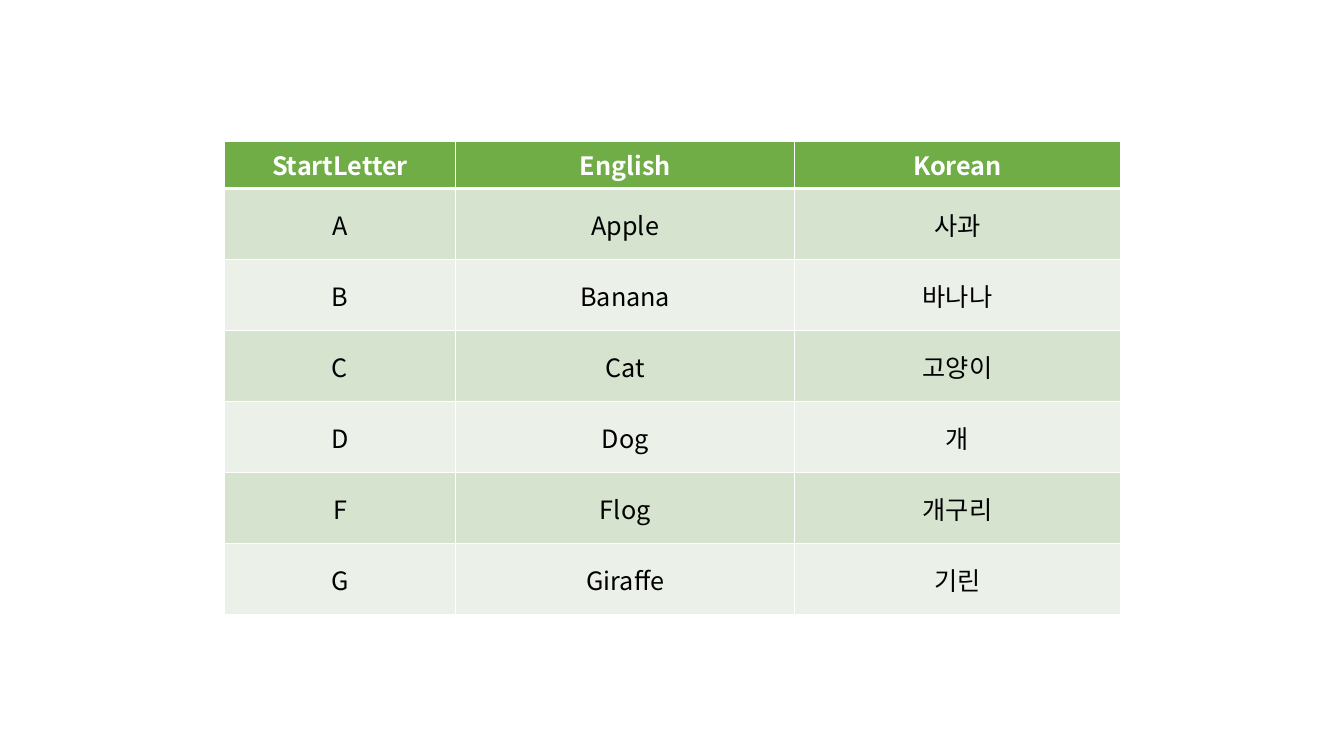
import pptx
import pptx.dml.color
import pptx.enum.text
import pptx.oxml.ns
import pptx.util
from lxml import etree


def colour(value):
    """Turn a hex string into a colour."""
    return pptx.dml.color.RGBColor.from_string(value)


class Page:
    """Hold the style and the current slide."""

    font = "Noto Sans CJK KR"
    size = 18
    header_fill = "70AD47"
    band_fills = ("D5E3CF", "EBF1E9")
    header_text = "FFFFFF"
    body_text = "000000"
    border = "FFFFFF"

    def __init__(self, deck):
        """Add a blank slide to the deck."""
        self.width, self.height = deck.slide_width, deck.slide_height
        self.slide = deck.slides.add_slide(deck.slide_layouts[6])

    def table(self, rows, left, top, column_shares, row_shares):
        """Draw a banded table placed by shares of the slide's size."""
        widths = [round(self.width * share) for share in column_shares]
        heights = [round(self.height * share) for share in row_shares]
        frame = self.slide.shapes.add_table(
            len(rows), len(widths), round(self.width * left),
            round(self.height * top), sum(widths), sum(heights))
        table = frame.table
        for column, width in zip(table.columns, widths):
            column.width = width
        for row, height in zip(table.rows, heights):
            row.height = height
        for index, texts in enumerate(rows):
            for position, text in enumerate(texts):
                self.cell(table.cell(index, position), text, index)

    def cell(self, cell, text, row):
        """Write and format one cell according to its row."""
        header = row == 0
        self.borders(cell, top=3 if row == 1 else 1, bottom=3 if header else 1)
        cell.fill.solid()
        cell.fill.fore_color.rgb = colour(
            self.header_fill if header else self.band_fills[(row - 1) % 2])
        cell.vertical_anchor = pptx.enum.text.MSO_ANCHOR.MIDDLE
        para = cell.text_frame.paragraphs[0]
        para.alignment = pptx.enum.text.PP_ALIGN.CENTER
        span = para.add_run()
        span.text = text
        for font in (para.font, span.font):
            font.name = self.font
            font.size = pptx.util.Pt(self.size)
            font.bold = header
            font.color.rgb = colour(self.header_text if header else self.body_text)
        east_asian = etree.SubElement(
            span.font._element, pptx.oxml.ns.qn("a:ea"))
        east_asian.set("typeface", self.font)

    def borders(self, cell, top, bottom):
        """Outline a cell with widths in points."""
        properties = cell._tc.get_or_add_tcPr()
        widths = {"a:lnL": 1, "a:lnR": 1, "a:lnT": top, "a:lnB": bottom}
        for tag, width in widths.items():
            line = etree.SubElement(properties, pptx.oxml.ns.qn(tag))
            line.set("w", str(pptx.util.Pt(width)))
            fill = etree.SubElement(line, pptx.oxml.ns.qn("a:solidFill"))
            paint = etree.SubElement(fill, pptx.oxml.ns.qn("a:srgbClr"))
            paint.set("val", self.border)


def main():
    """Build the vocabulary slide."""
    deck = pptx.Presentation()
    deck.slide_width = pptx.util.Inches(13.33)
    deck.slide_height = pptx.util.Inches(7.5)
    vocabulary = [
        ("StartLetter", "English", "Korean"),
        ("A", "Apple", "사과"),
        ("B", "Banana", "바나나"),
        ("C", "Cat", "고양이"),
        ("D", "Dog", "개"),
        ("F", "Flog", "개구리"),
        ("G", "Giraffe", "기린"),
    ]
    column_shares = [width / 13.33 for width in (2.3, 3.36, 3.23)]
    row_shares = [0.47 / 7.5] + [0.705 / 7.5] * (len(vocabulary) - 1)
    Page(deck).table(vocabulary, 1 / 6, 1.4 / 7.5, column_shares, row_shares)
    deck.save("out.pptx")


if __name__ == "__main__":
    main()
